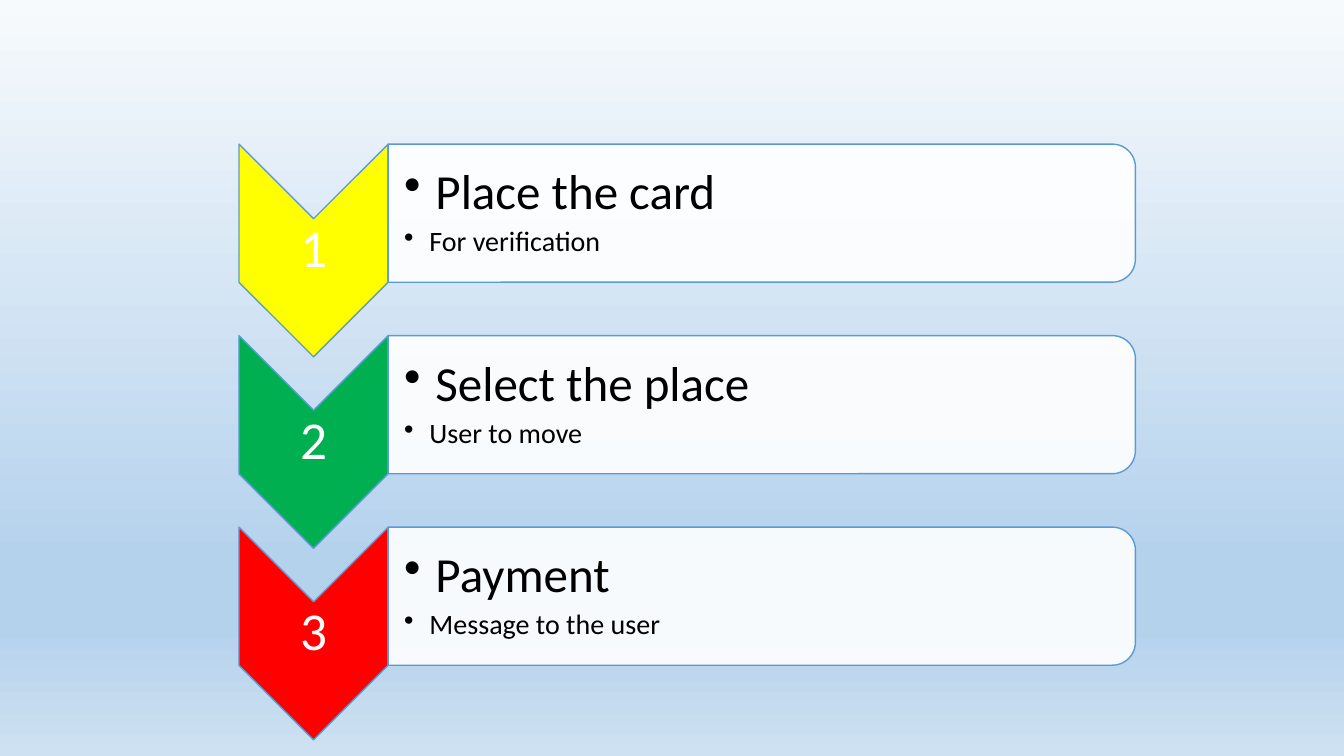
from dataclasses import dataclass

from lxml import etree
from pptx import Presentation
from pptx import util as u
from pptx.dml.color import RGBColor
from pptx.enum import shapes, text
from pptx.oxml import ns


@dataclass(frozen=True)
class Theme:
    font: str = "Calibri"
    line: str = "5B9BD5"
    white: str = "FFFFFF"
    black: str = "000000"
    number_size: int = 38
    heading_size: int = 35
    detail_size: int = 20
    background: tuple = ((0, "F7FAFD"), (74, "B5D2EC"), (83, "B5D2EC"), (100, "CEE1F2"))


@dataclass(frozen=True)
class Box:
    """Grid cells: left and width in columns, top and height in rows."""
    left: float
    top: float
    width: float
    height: float

    def down(self, rows: float) -> "Box":
        return Box(self.left, self.top + rows, self.width, self.height)

    def frame(self) -> tuple:
        return (int(self.left * COLUMN), int(self.top * ROW),
                int(self.width * COLUMN), int(self.height * ROW))


@dataclass(frozen=True)
class Step:
    number: str
    color: str
    heading: str
    detail: str


THEME = Theme()
SLIDE_WIDTH, SLIDE_HEIGHT = u.Inches(13.33), u.Inches(7.5)
COLUMN, ROW = SLIDE_WIDTH / 100, SLIDE_HEIGHT / 75

# First step's boxes; each later step lies one pitch lower
PITCH = 19
CHEVRON = Box(17.78, 14.3, 11.1, 21.1)
NUMBER = Box(17.78, 21.7, 11.1, 6.3)
CARD = Box(28.88, 14.3, 55.6, 13.7)
CARD_TEXT = Box(28.88, 14.9, 55.06, 12.4)

STEPS = (
    Step("1", "FFFF00", "Place the card", "For verification"),
    Step("2", "00B050", "Select the place", "User to move"),
    Step("3", "FF0000", "Payment", "Message to the user"),
)


def apply(target, values: dict) -> None:
    for name, value in values.items():
        setattr(target, name, value)


def add_element(parent, tag: str, **attributes: str):
    return etree.SubElement(parent, ns.qn(tag), attributes)


def paint_background(slide) -> None:
    fill = slide.background.fill
    fill.gradient()
    fill.gradient_angle = 270
    stops = slide.element.find(".//" + ns.qn("a:gsLst"))
    for stop in list(stops):
        stops.remove(stop)
    for percent, color in THEME.background:
        stop = add_element(stops, "a:gs", pos=str(percent * 1000))
        add_element(stop, "a:srgbClr", val=color)


def add_turned_shape(slide, kind, box: Box, color: str, opacity: int = 100) -> None:
    """Turn a shape clockwise by 90 degrees so that it fills the box."""
    left, top, width, height = box.frame()
    shift = (width - height) // 2
    shape = slide.shapes.add_shape(kind, left + shift, top - shift, height, width)
    shape.rotation = 90
    shape.shadow.inherit = False
    shape.fill.solid()
    shape.fill.fore_color.rgb = RGBColor.from_string(color)
    shape.line.color.rgb = RGBColor.from_string(THEME.line)
    shape.line.width = u.Pt(1)
    if opacity < 100:
        solid = shape.element.spPr.find(ns.qn("a:solidFill"))
        add_element(solid[0], "a:alpha", val=str(opacity * 1000))


def add_text_frame(slide, box: Box, left_inset: float, inset: float):
    frame = slide.shapes.add_textbox(*box.frame()).text_frame
    apply(frame, {
        "word_wrap": True,
        "vertical_anchor": text.MSO_ANCHOR.MIDDLE,
        "margin_left": u.Inches(left_inset),
        "margin_top": u.Inches(inset),
        "margin_right": u.Inches(inset),
        "margin_bottom": u.Inches(inset),
    })
    return frame


def write(paragraph, words: str, size: int, color: str, space_after: int):
    """Write one run; space_after is a percentage of the line."""
    run = paragraph.add_run()
    run.text = words
    apply(run.font, {"name": THEME.font, "size": u.Pt(size)})
    run.font.color.rgb = RGBColor.from_string(color)
    paragraph.line_spacing = 0.9
    properties = paragraph._p.get_or_add_pPr()
    spacing = add_element(properties, "a:spcAft")
    add_element(spacing, "a:spcPct", val=str(space_after * 1000))
    return properties


def write_bullet(paragraph, words: str, size: int, indent: float) -> None:
    paragraph.level = 1
    properties = write(paragraph, words, size, THEME.black, 15)
    properties.set("marL", str(u.Inches(indent)))
    properties.set("indent", str(-u.Inches(indent)))
    add_element(properties, "a:buChar", char="•")


def add_step(slide, step: Step, rows: float) -> None:
    # Numbered chevron
    add_turned_shape(slide, shapes.MSO_SHAPE.CHEVRON, CHEVRON.down(rows), step.color)
    paragraph = add_text_frame(slide, NUMBER.down(rows), 0.03, 0.03).paragraphs[0]
    paragraph.alignment = text.PP_ALIGN.CENTER
    write(paragraph, step.number, THEME.number_size, THEME.white, 35)

    # Card with heading and detail
    add_turned_shape(slide, shapes.MSO_SHAPE.ROUND_2_SAME_RECTANGLE,
                     CARD.down(rows), THEME.white, 90)
    frame = add_text_frame(slide, CARD_TEXT.down(rows), 0.16, 0.01)
    write_bullet(frame.paragraphs[0], step.heading, THEME.heading_size, 0.31)
    write_bullet(frame.add_paragraph(), step.detail, THEME.detail_size, 0.25)


def main() -> None:
    presentation = Presentation()
    apply(presentation, {"slide_width": SLIDE_WIDTH, "slide_height": SLIDE_HEIGHT})
    slide = presentation.slides.add_slide(presentation.slide_layouts[6])
    paint_background(slide)
    for index, step in enumerate(STEPS):
        add_step(slide, step, index * PITCH)
    presentation.save("out.pptx")


if __name__ == "__main__":
    main()
